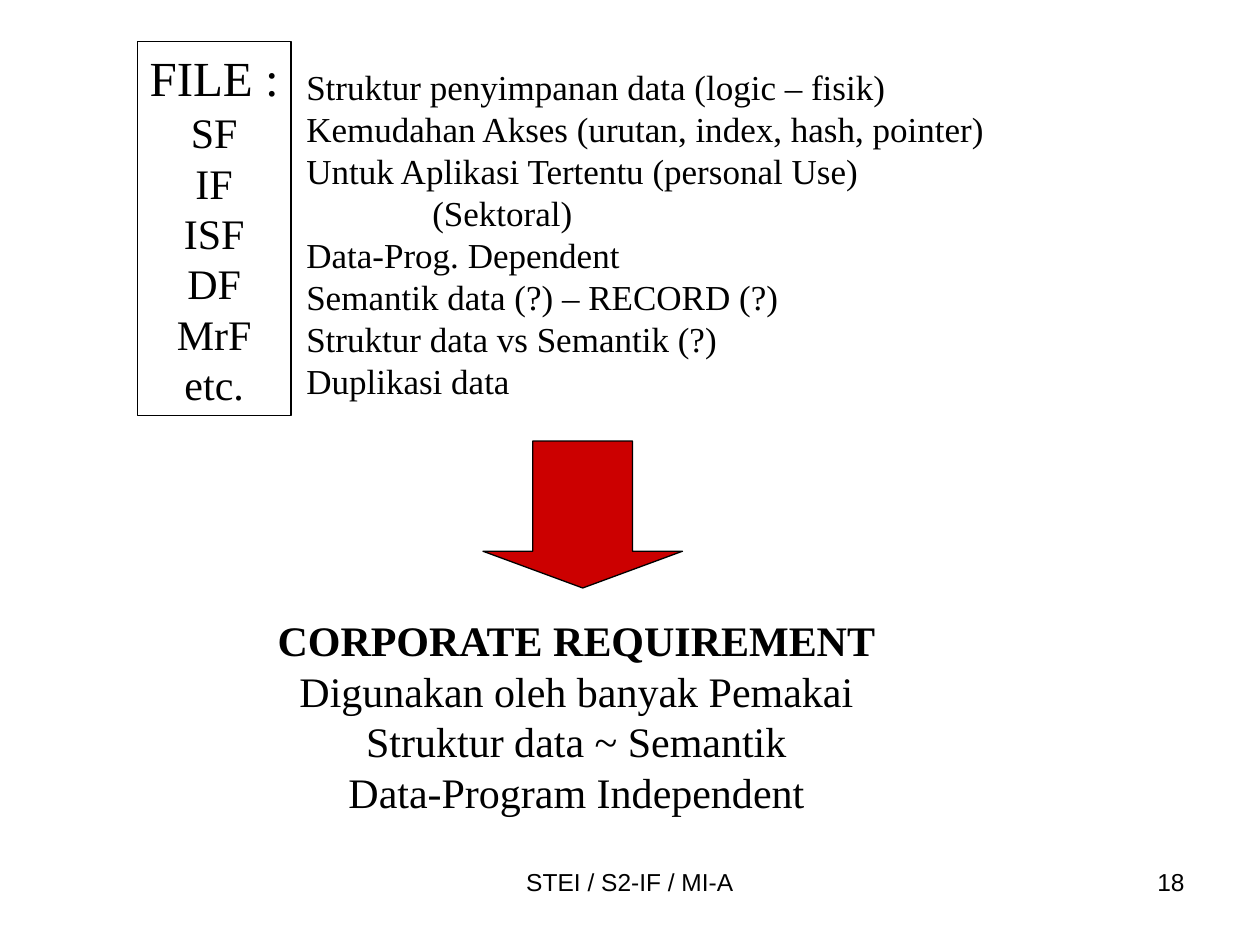
from lxml import etree
from pptx import Presentation
from pptx.dml.color import RGBColor
from pptx.enum.shapes import MSO_SHAPE
from pptx.enum.text import MSO_ANCHOR, MSO_AUTO_SIZE, PP_ALIGN
from pptx.oxml.ns import qn
from pptx.util import Pt

LEFT, CENTER, RIGHT = PP_ALIGN.LEFT, PP_ALIGN.CENTER, PP_ALIGN.RIGHT
BLACK, RED = "000000", "CC0000"
SERIF, SANS = "Times New Roman", "Arial"
TWO_CONTENT = 3
TAB = 72

FILE_TYPES = ["FILE :", "SF", "IF", "ISF", "DF", "MrF", "etc."]
FILE_TRAITS = [
    "Struktur penyimpanan data (logic – fisik)",
    "Kemudahan Akses (urutan, index, hash, pointer)",
    "Untuk Aplikasi Tertentu (personal Use)",
    "(Sektoral)",
    "Data-Prog. Dependent",
    "Semantik data (?) – RECORD (?)",
    "Struktur data vs Semantik (?)",
    "Duplikasi data",
]
INDENTED = {"(Sektoral)"}
REQUIREMENTS = [
    "CORPORATE REQUIREMENT",
    "Digunakan oleh banyak Pemakai",
    "Struktur data ~ Semantik",
    "Data-Program Independent",
]
FOOTER, PAGE_NUMBER = "STEI / S2-IF / MI-A", "18"

# left, top, width, height in points
TYPES_AT = (78.5, 23.8, 87.8, 213.8)
TRAITS_AT = (167.8, 33.8, 402.5, 199.4)
ARROW_AT = (276, 252, 114, 84)
REQUIREMENTS_AT = (150.5, 347.8, 357.8, 151.2)
FOOTER_AT = (246, 492, 228, 37.5)
NUMBER_AT = (516, 492, 168, 37.5)


def color(value):
    return RGBColor.from_string(value)


def place(box, area):
    names = ("left", "top", "width", "height")
    for name, value in zip(names, area):
        setattr(box, name, Pt(value))


def write(box, lines, size, align=LEFT, font=SERIF, first=None, wrap=False):
    """Fill box with unbulleted lines; first overrides the first line's format."""
    frame = box.text_frame
    layout = {"word_wrap": wrap, "auto_size": MSO_AUTO_SIZE.NONE,
              "vertical_anchor": MSO_ANCHOR.TOP}
    for name, value in layout.items():
        setattr(frame, name, value)
    for index, line in enumerate(lines):
        para = frame.add_paragraph() if index else frame.paragraphs[0]
        span = para.add_run()
        span.text = line
        style = {"name": font, "size": Pt(size), "bold": False}
        if index == 0:
            style.update(first or {})
        for name, value in style.items():
            setattr(span.font, name, value)
        span.font.color.rgb = color(BLACK)
        spacing = {"alignment": align, "space_before": Pt(0), "space_after": Pt(0)}
        if font == SERIF:
            spacing["line_spacing"] = Pt(style["size"].pt * 1.2)
        for name, value in spacing.items():
            setattr(para, name, value)
        properties = para._p.get_or_add_pPr()
        properties.set("marL", str(Pt(TAB if line in INDENTED else 0)))
        properties.set("indent", "0")
        etree.SubElement(properties, qn("a:buNone"))


def add_outlined(page, preset, area, fill=None):
    box = page.shapes.add_shape(preset, *map(Pt, area))
    box.shadow.inherit = False
    box.line.color.rgb = color(BLACK)
    box.line.width = Pt(0.75)
    if fill:
        box.fill.solid()
        box.fill.fore_color.rgb = color(fill)
    else:
        box.fill.background()
    return box


def main():
    deck = Presentation()
    deck.slide_width, deck.slide_height = Pt(720), Pt(540)
    page = deck.slides.add_slide(deck.slide_layouts[TWO_CONTENT])
    title, traits, requirements = page.placeholders
    title.element.getparent().remove(title.element)

    types = add_outlined(page, MSO_SHAPE.RECTANGLE, TYPES_AT)
    write(types, FILE_TYPES, 24, CENTER, first={"size": Pt(28)})

    place(traits, TRAITS_AT)
    write(traits, FILE_TRAITS, 20)

    arrow = add_outlined(page, MSO_SHAPE.DOWN_ARROW, ARROW_AT, RED)
    arrow.adjustments[0], arrow.adjustments[1] = 0.5, 0.25

    place(requirements, REQUIREMENTS_AT)
    write(requirements, REQUIREMENTS, 24, CENTER, first={"bold": True})

    for text, area, align in ((FOOTER, FOOTER_AT, CENTER),
                              (PAGE_NUMBER, NUMBER_AT, RIGHT)):
        box = page.shapes.add_textbox(*map(Pt, area))
        write(box, [text], 14, align, SANS, wrap=True)

    deck.save("out.pptx")


if __name__ == "__main__":
    main()
